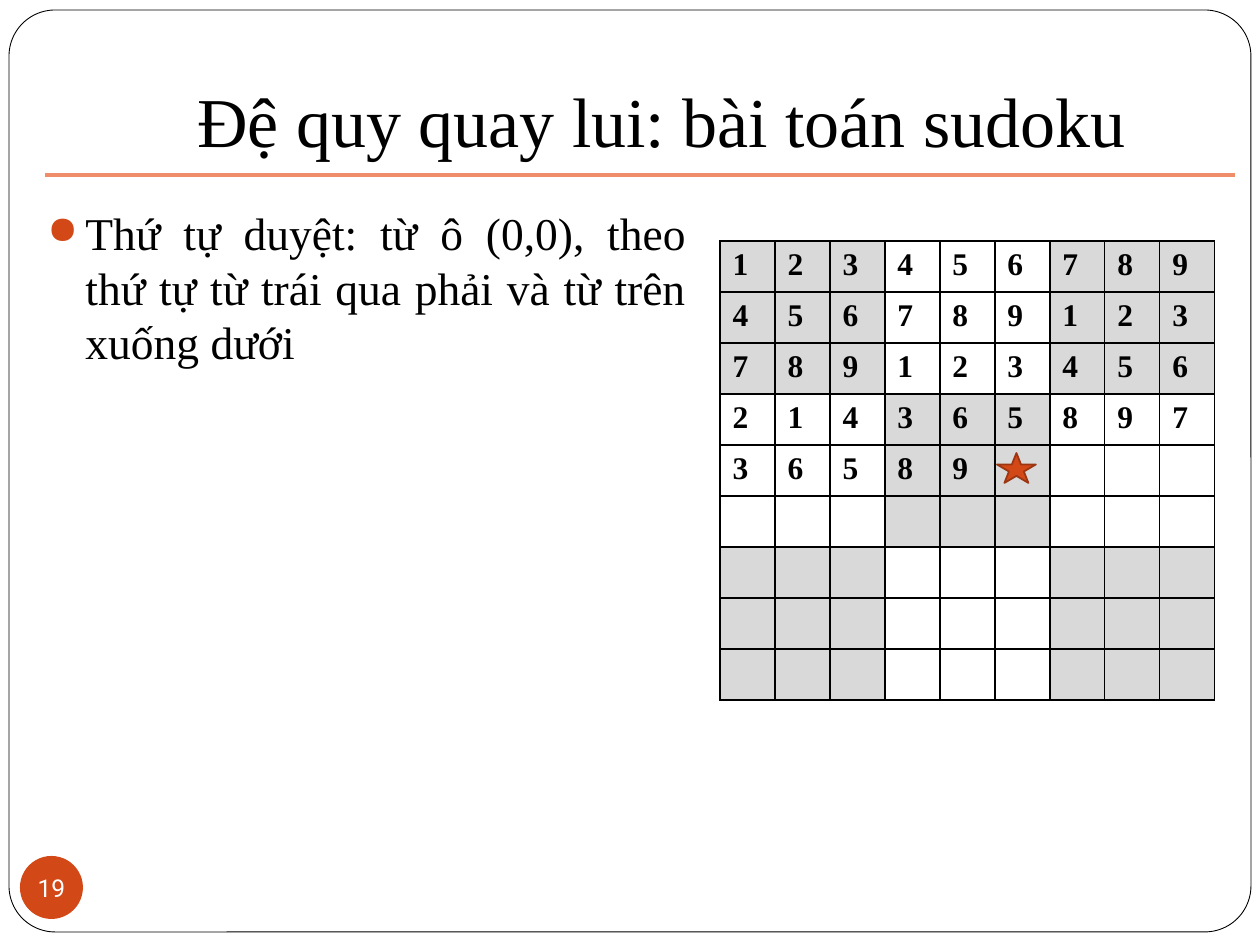
from lxml import etree
from pptx import Presentation
from pptx.dml.color import RGBColor
from pptx.enum.shapes import MSO_CONNECTOR, MSO_SHAPE
from pptx.enum.text import MSO_ANCHOR, PP_ALIGN
from pptx.oxml.ns import qn
from pptx.util import Emu, Pt

ROUND_RECT, OVAL, STAR = MSO_SHAPE.ROUNDED_RECTANGLE, MSO_SHAPE.OVAL, MSO_SHAPE.STAR_5_POINT
STRAIGHT = MSO_CONNECTOR.STRAIGHT
TOP, MIDDLE, BOTTOM = MSO_ANCHOR.TOP, MSO_ANCHOR.MIDDLE, MSO_ANCHOR.BOTTOM
LEFT, CENTER, JUSTIFY = PP_ALIGN.LEFT, PP_ALIGN.CENTER, PP_ALIGN.JUSTIFY

PX = 914400 / 126
COLORS = {
    "ink": "000000",
    "paper": "FFFFFF",
    "accent": "D34817",
    "accent_dark": "9C3511",
    "rule": "EF8C6A",
    "block": "D9D9D9",
}
SERIF, SANS = "Times New Roman", "Roboto"
SUDOKU = ["123456789", "456789123", "789123456", "214365897", "36589", "", "", "", ""]


def px(length):
    return Emu(round(length * PX))


def color(name):
    return RGBColor.from_string(COLORS[name])


class SlideBuilder:
    def __init__(self, page):
        self.page = page

    def add_span(self, para, text, size, font=SERIF, ink="ink", bold=False, align=LEFT):
        para.alignment = align
        span = para.add_run()
        span.text = text
        span.font.name = font
        span.font.size = Pt(size)
        span.font.bold = bold
        span.font.color.rgb = color(ink)

    def shape(self, kind, left, top, width, height, fill, line=None, weight=1):
        shape = self.page.shapes.add_shape(kind, px(left), px(top), px(width), px(height))
        shape.shadow.inherit = False
        shape.fill.solid()
        shape.fill.fore_color.rgb = color(fill)
        if line:
            shape.line.color.rgb = color(line)
            shape.line.width = Pt(weight)
        else:
            shape.line.fill.background()
        return shape

    def badge(self, left, top, size, text):
        frame = self.shape(OVAL, left, top, size, size, "accent").text_frame
        frame.margin_left = frame.margin_right = frame.margin_top = frame.margin_bottom = 0
        frame.word_wrap = False
        frame.vertical_anchor = MIDDLE
        self.add_span(frame.paragraphs[0], text, 14, SANS, "paper", align=CENTER)

    def text(self, left, top, width, height, text, size, align, anchor=TOP, bottom=6):
        box = self.page.shapes.add_textbox(px(left), px(top), px(width), px(height))
        frame = box.text_frame
        frame.word_wrap = True
        frame.vertical_anchor = anchor
        frame.margin_bottom = px(bottom)
        para = frame.paragraphs[0]
        self.add_span(para, text, size, align=align)
        return para

    def bullet(self, para, indent):
        props = para._p.get_or_add_pPr()
        props.set("marL", str(px(indent)))
        props.set("indent", str(-px(indent)))
        tint = etree.SubElement(props, qn("a:buClr"))
        etree.SubElement(tint, qn("a:srgbClr"), val=COLORS["accent"])
        etree.SubElement(props, qn("a:buSzPct"), val="85000")
        etree.SubElement(props, qn("a:buChar"), char="●")

    def rule(self, left, right, y, line, weight):
        rule = self.page.shapes.add_connector(STRAIGHT, px(left), px(y), px(right), px(y))
        rule.line.color.rgb = color(line)
        rule.line.width = Pt(weight)
        etree.SubElement(rule._element.spPr, qn("a:effectLst"))

    def border(self, cell):
        props = cell._tc.get_or_add_tcPr()
        for position, side in enumerate(("a:lnL", "a:lnR", "a:lnT", "a:lnB")):
            edge = etree.Element(qn(side), w=str(Pt(1)))
            fill = etree.SubElement(edge, qn("a:solidFill"))
            etree.SubElement(fill, qn("a:srgbClr"), val=COLORS["ink"])
            props.insert(position, edge)

    def sudoku(self, left, top, cell_width, cell_height, rows):
        count = len(rows)
        frame = self.page.shapes.add_table(count, count, px(left), px(top),
                                           px(cell_width * count), px(cell_height * count))
        table = frame.table
        table.first_row = table.horz_banding = False
        for i, digits in enumerate(rows):
            table.rows[i].height = px(cell_height)
            table.columns[i].width = px(cell_width)
            for j in range(count):
                cell = table.cell(i, j)
                # Shade every second 3 by 3 block
                if (i // 3 + j // 3) % 2 == 0:
                    cell.fill.solid()
                    cell.fill.fore_color.rgb = color("block")
                else:
                    cell.fill.background()
                self.border(cell)
                if j < len(digits):
                    self.add_span(cell.text_frame.paragraphs[0], digits[j], 18, bold=True)


def main():
    deck = Presentation()
    deck.slide_width, deck.slide_height = px(1260), px(945)
    builder = SlideBuilder(deck.slides.add_slide(deck.slide_layouts[6]))

    # Frame
    frame = builder.shape(ROUND_RECT, 9, 10, 1242, 922, "paper", "ink", 0.5)
    frame.adjustments[0] = 0.05

    # Title and rule
    builder.text(126, 16, 1071, 158, "Đệ quy quay lui: bài toán sudoku", 40, CENTER, BOTTOM, 13)
    builder.rule(45, 1235, 175, "rule", 2)

    # Page number
    builder.badge(20, 856, 63, "19")

    # Body
    body = builder.text(
        35, 199, 664, 630,
        "Thứ tự duyệt: từ ô (0,0), theo thứ tự từ trái qua phải và từ trên xuống dưới",
        26, JUSTIFY)
    builder.bullet(body, 38)

    # Sudoku grid with the current cell starred
    builder.sudoku(720, 241, 55, 51, SUDOKU)
    builder.shape(STAR, 997, 453, 39, 30, "accent", "accent_dark")

    deck.save("out.pptx")


if __name__ == "__main__":
    main()
